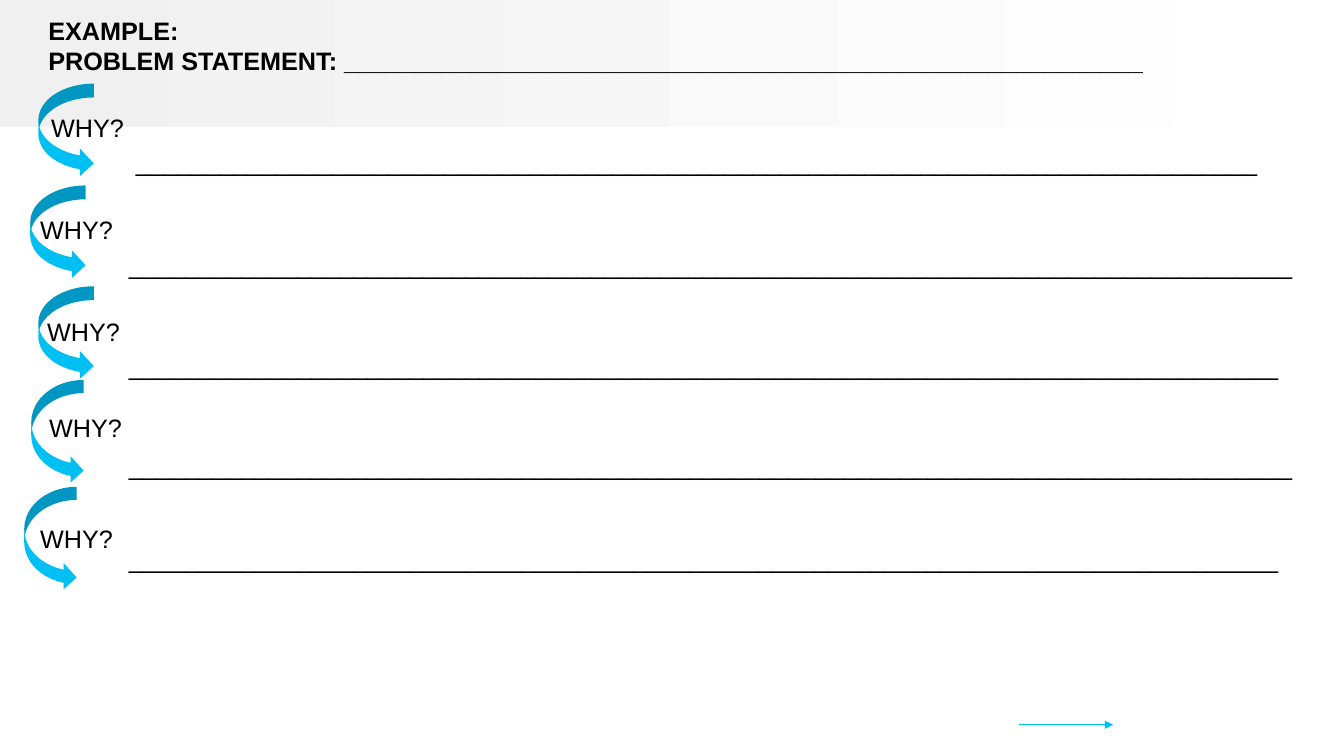
from dataclasses import dataclass

from lxml import etree
from pptx import Presentation
from pptx import util as u
from pptx.dml import color
from pptx.enum import dml, shapes, text
from pptx.oxml import ns

COLORS = {"ink": "000000", "accent": "00BFF3", "band": "F0F0F0", "paper": "FFFFFF"}
FONT = "Arial"


@dataclass
class Box:
    left: float
    top: float
    width: float
    height: float

    def lengths(self) -> list[u.Length]:
        return [u.Inches(n) for n in (self.left, self.top, self.width, self.height)]


@dataclass
class Why:
    arrow: Box
    label: Box
    answer: Box
    blank: str


WHYS = [
    Why(Box(0.38, 0.83, 0.55, 0.93), Box(0.41, 1.07, 0.93, 0.4),
        Box(1.18, 1.4, 11.49, 0.4), " " + "_" * 80),
    Why(Box(0.3, 1.84, 0.55, 0.93), Box(0.3, 2.08, 0.93, 0.4),
        Box(1.18, 2.42, 12.07, 0.4), "_" * 83),
    Why(Box(0.38, 2.84, 0.55, 0.93), Box(0.37, 3.09, 0.93, 0.4),
        Box(1.18, 3.43, 11.7, 0.4), "_" * 82),
    Why(Box(0.31, 3.77, 0.52, 1.03), Box(0.39, 4.04, 0.93, 0.4),
        Box(1.18, 4.42, 11.96, 0.4), "_" * 83),
    Why(Box(0.24, 4.83, 0.52, 1.03), Box(0.3, 5.14, 0.93, 0.4),
        Box(1.18, 5.34, 11.7, 0.4), "_" * 82),
]


def rgb(name: str) -> color.RGBColor:
    return color.RGBColor.from_string(COLORS[name])


def write(tf, lines: list[str], bold: bool = False, wrap: bool = True) -> None:
    tf.word_wrap = wrap
    tf.auto_size = text.MSO_AUTO_SIZE.SHAPE_TO_FIT_TEXT
    tf.vertical_anchor = text.MSO_ANCHOR.TOP
    for i, line in enumerate(lines):
        p = tf.paragraphs[0] if i == 0 else tf.add_paragraph()
        p.alignment = text.PP_ALIGN.LEFT
        r = p.add_run()
        r.text = line
        r.font.name = FONT
        r.font.size = u.Pt(18)
        r.font.bold = bold
        r.font.color.rgb = rgb("ink")


def add_plain_shape(slide, kind: shapes.MSO_SHAPE, box: Box):
    sp = slide.shapes.add_shape(kind, *box.lengths())
    sp.shadow.inherit = False
    sp.line.fill.background()
    return sp


def add_band(slide) -> None:
    sp = add_plain_shape(slide, shapes.MSO_SHAPE.RECTANGLE, Box(0, 0, 13.28, 1.26))
    sp.fill.gradient()
    sp.fill.gradient_angle = 0
    for stop, name, position in zip(sp.fill.gradient_stops, ("band", "paper"), (0, 1)):
        stop.color.rgb = rgb(name)
        stop.position = position
    slide.shapes._spTree.insert(2, sp._element)


def add_title(slide) -> None:
    sp = slide.shapes.title
    sp.left, sp.top, sp.width, sp.height = Box(0.38, 0.1, 11.66, 0.71).lengths()
    write(sp.text_frame, ["EXAMPLE:", "PROBLEM STATEMENT: " + "_" * 57], bold=True)


def add_why(slide, why: Why) -> None:
    answer = slide.shapes.add_textbox(*why.answer.lengths())
    write(answer.text_frame, [why.blank])
    arrow = add_plain_shape(slide, shapes.MSO_SHAPE.CURVED_RIGHT_ARROW, why.arrow)
    arrow.fill.solid()
    arrow.fill.fore_color.rgb = rgb("accent")
    label = slide.shapes.add_textbox(*why.label.lengths())
    write(label.text_frame, ["WHY?"], wrap=False)


def add_next_arrow(slide) -> None:
    y = u.Inches(7.19)
    line = slide.shapes.add_connector(
        shapes.MSO_CONNECTOR.STRAIGHT, u.Inches(10.11), y, u.Inches(11.04), y)
    line.line.color.rgb = rgb("accent")
    line.line.width = u.Pt(0.5)
    line.line.dash_style = dml.MSO_LINE.SOLID
    etree.SubElement(line.line._get_or_add_ln(), ns.qn("a:tailEnd"), type="triangle")
    etree.SubElement(line._element.spPr, ns.qn("a:effectLst"))


def main() -> None:
    prs = Presentation()
    prs.slide_width, prs.slide_height = u.Inches(13.33), u.Inches(7.5)
    slide = prs.slides.add_slide(prs.slide_layouts.get_by_name("Title Only"))
    add_band(slide)
    add_title(slide)
    for why in WHYS:
        add_why(slide, why)
    add_next_arrow(slide)
    prs.save("out.pptx")


if __name__ == "__main__":
    main()
